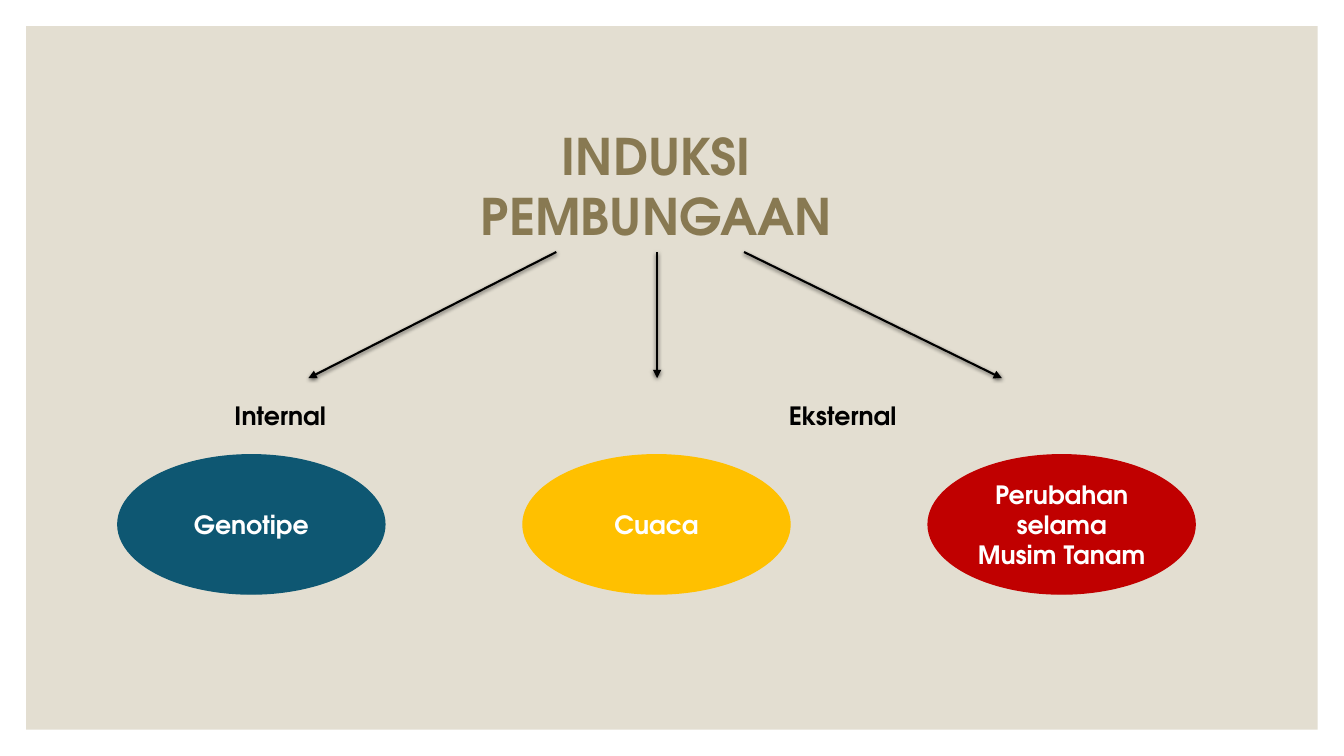
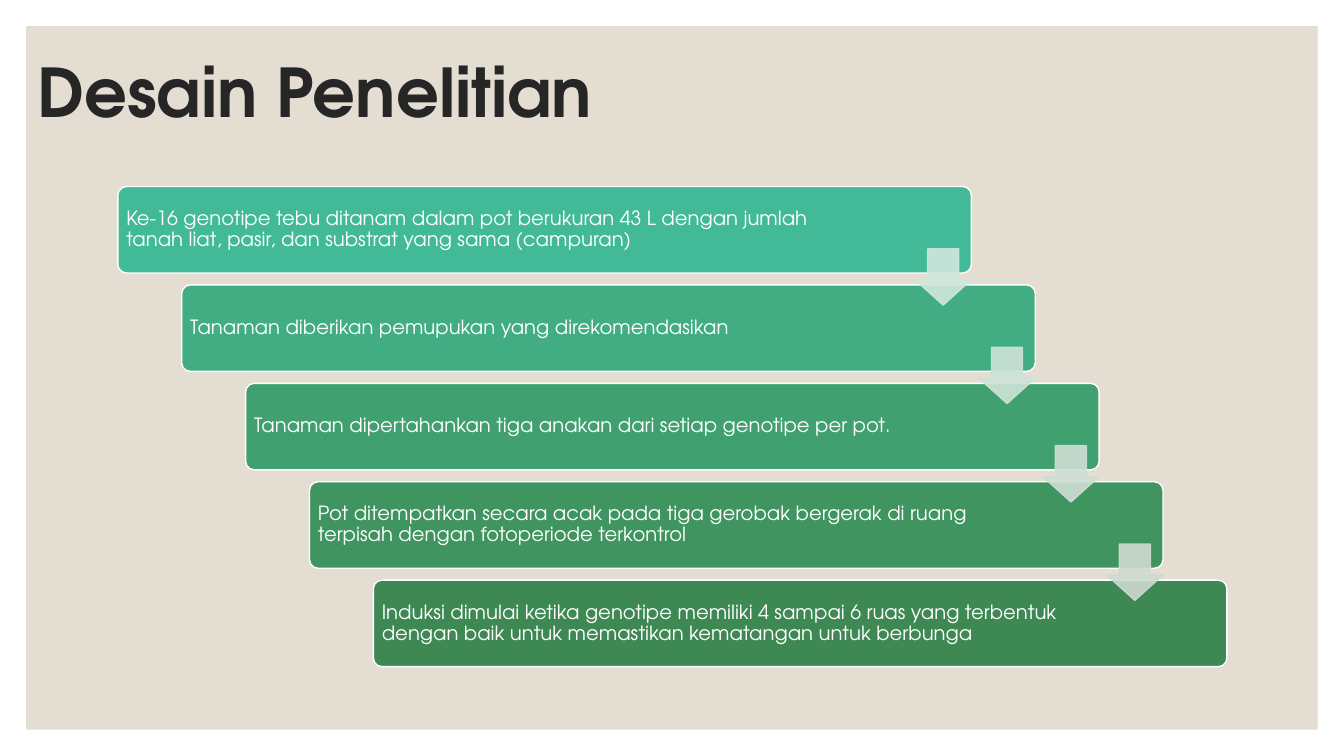
"""Builds two slides on flowering induction and the research design."""
from lxml.etree import SubElement
from pptx import Presentation
from pptx.dml.color import RGBColor
from pptx.enum.shapes import MSO_CONNECTOR, MSO_SHAPE
from pptx.enum.text import MSO_ANCHOR, PP_ALIGN
from pptx.oxml.ns import qn
from pptx.util import Cm, Pt

FONT = "TeX Gyre Adventor"
WIDTH, HEIGHT, MARGIN = 33.87, 19.05, 0.66
COLORS = {
    "panel": "E3DED1", "white": "FFFFFF", "black": "000000",
    "heading": "887952", "title": "262626",
    "blue": "0E5772", "yellow": "FFC000", "red": "C00000",
}
FACTORS = [
    ("Genotipe", "blue"),
    ("Cuaca", "yellow"),
    ("Perubahan selama Musim Tanam", "red"),
]
GROUPS = [("Internal", 5.66), ("Eksternal", 19.63)]
ARROWS = [(14.02, 7.77), (16.56, 16.56), (18.75, 25.25)]
STEPS = [
    ("Ke-16 genotipe tebu ditanam dalam pot berukuran 43 L dengan jumlah "
     "tanah liat, pasir, dan substrat yang sama (campuran)", "42BA97"),
    ("Tanaman diberikan pemupukan yang direkomendasikan", "42AD82"),
    ("Tanaman dipertahankan tiga anakan dari setiap genotipe per pot.", "41A070"),
    ("Pot ditempatkan secara acak pada tiga gerobak bergerak di ruang "
     "terpisah dengan fotoperiode terkontrol", "409460"),
    ("Induksi dimulai ketika genotipe memiliki 4 sampai 6 ruas yang terbentuk "
     "dengan baik untuk memastikan kematangan untuk berbunga", "3E8853"),
]
STEP_ARROWS = ["CFE7DD", "CEE3D8", "CEDED4", "CEDAD1"]


def rgb(color):
    return RGBColor.from_string(COLORS.get(color, color))


def write(sp, text, size, color, bold=True, align=PP_ALIGN.LEFT,
          anchor=MSO_ANCHOR.MIDDLE, spacing=1.0):
    tf = sp.text_frame
    tf.word_wrap = True
    tf.vertical_anchor = anchor
    p = tf.paragraphs[0]
    p.alignment = align
    p.line_spacing = spacing
    r = p.add_run()
    r.text = text
    r.font.name = FONT
    r.font.size = Pt(size)
    r.font.bold = bold
    r.font.color.rgb = rgb(color)
    return tf


def add_text(s, box, text, size, color, **style):
    sp = s.shapes.add_textbox(*map(Cm, box))
    write(sp, text, size, color, **style)


def add_box(s, kind, box, fill, line=None, adjustments=()):
    sp = s.shapes.add_shape(kind, *map(Cm, box))
    sp.shadow.inherit = False
    for i, value in enumerate(adjustments):
        sp.adjustments[i] = value
    sp.fill.solid()
    sp.fill.fore_color.rgb = rgb(fill)
    if line:
        sp.line.color.rgb = rgb(line)
        sp.line.width = Pt(1)
    else:
        sp.line.fill.background()
    return sp


def set_alpha(sp, percent):
    for color in sp.element.spPr.iter(qn("a:srgbClr")):
        SubElement(color, qn("a:alpha"), val=str(percent * 1000))


def add_arrow(s, x1, y1, x2, y2):
    line = s.shapes.add_connector(MSO_CONNECTOR.STRAIGHT, *map(Cm, (x1, y1, x2, y2)))
    line.line.color.rgb = rgb("black")
    line.line.width = Pt(1.5)
    SubElement(line.line._get_or_add_ln(), qn("a:tailEnd"), type="triangle")
    effects = SubElement(line.element.spPr, qn("a:effectLst"))
    shadow = SubElement(effects, qn("a:outerShdw"), blurRad=str(Pt(3)),
                        dist=str(Pt(1)), dir="5400000", rotWithShape="0")
    color = SubElement(shadow, qn("a:srgbClr"), val=COLORS["black"])
    SubElement(color, qn("a:alpha"), val="63000")


def add_slide(prs):
    s = prs.slides.add_slide(prs.slide_layouts[6])
    add_box(s, MSO_SHAPE.RECTANGLE,
            (MARGIN, MARGIN, WIDTH - 2 * MARGIN, HEIGHT - 2 * MARGIN), "panel")
    return s


def add_step(s, i, text, fill):
    sp = add_box(s, MSO_SHAPE.ROUNDED_RECTANGLE,
                 (2.97 + 1.61 * i, 4.7 + 2.48 * i, 21.51, 2.18),
                 fill, "white", [0.1])
    tf = write(sp, text, 14, "white", bold=False, spacing=0.9)
    tf.margin_left = tf.margin_top = tf.margin_bottom = Cm(0.15)
    tf.margin_right = Cm(3.18)


def add_step_arrow(s, i, color):
    sp = add_box(s, MSO_SHAPE.DOWN_ARROW,
                 (23.06 + 1.61 * i, 6.27 + 2.48 * i, 1.42, 1.42),
                 color, color, [0.55, 0.45])
    set_alpha(sp, 90)


def build_induction(prs):
    s = add_slide(prs)
    for i, (text, fill) in enumerate(FACTORS):
        sp = add_box(s, MSO_SHAPE.OVAL, (2.97 + 10.21 * i, 11.46, 6.73, 3.51), fill, fill)
        write(sp, text, 18, "white", align=PP_ALIGN.CENTER)
    add_text(s, (9.7, 3.5, 13.69, 2.34), "INDUKSI PEMBUNGAAN", 36, "heading",
             align=PP_ALIGN.CENTER)
    for x1, x2 in ARROWS:
        add_arrow(s, x1, 6.35, x2, 9.53)
    for text, x in GROUPS:
        add_text(s, (x, 9.96, 4, 1.07), text, 18, "black", anchor=MSO_ANCHOR.TOP)


def build_design(prs):
    s = add_slide(prs)
    add_text(s, (0.69, MARGIN, 27.94, 3.53), "Desain Penelitian", 48, "title", spacing=0.9)
    for i, (text, fill) in enumerate(STEPS):
        add_step(s, i, text, fill)
    for i, color in enumerate(STEP_ARROWS):
        add_step_arrow(s, i, color)


def main():
    prs = Presentation()
    prs.slide_width, prs.slide_height = Cm(WIDTH), Cm(HEIGHT)
    build_induction(prs)
    build_design(prs)
    prs.save("out.pptx")


if __name__ == "__main__":
    main()
